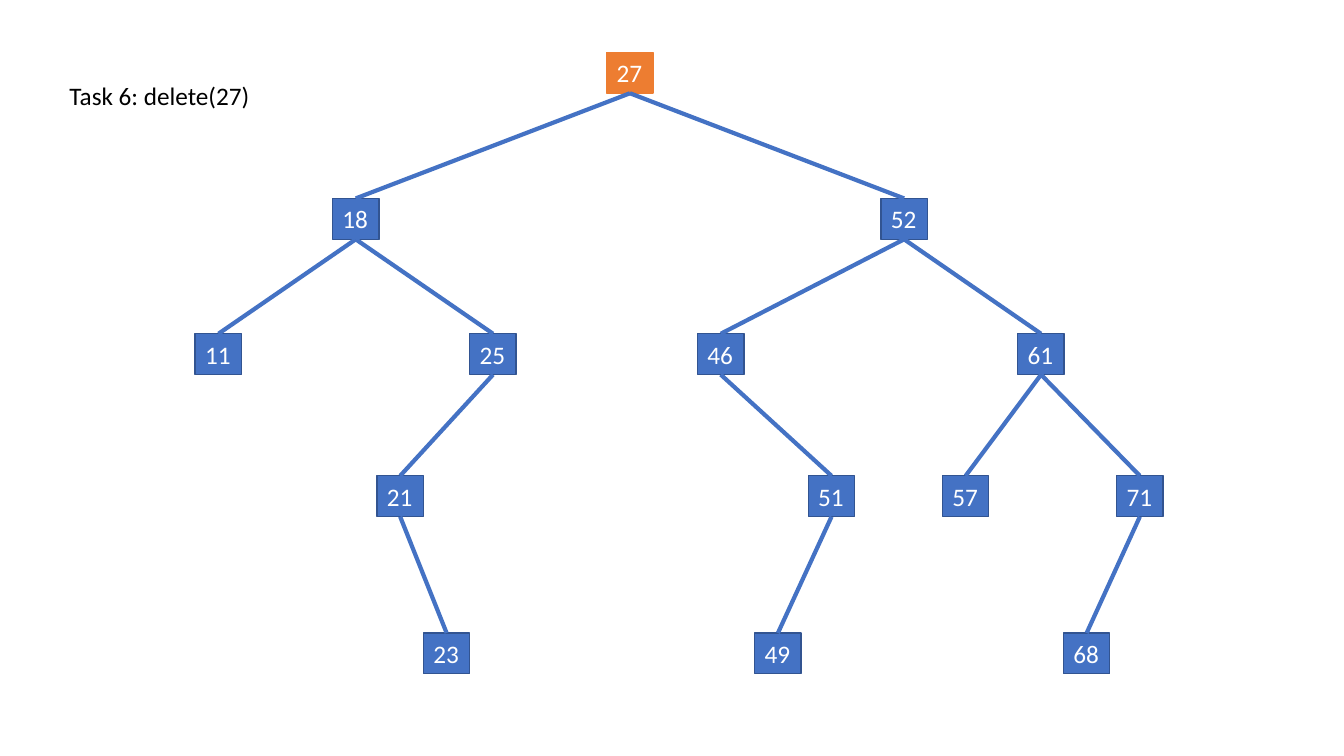
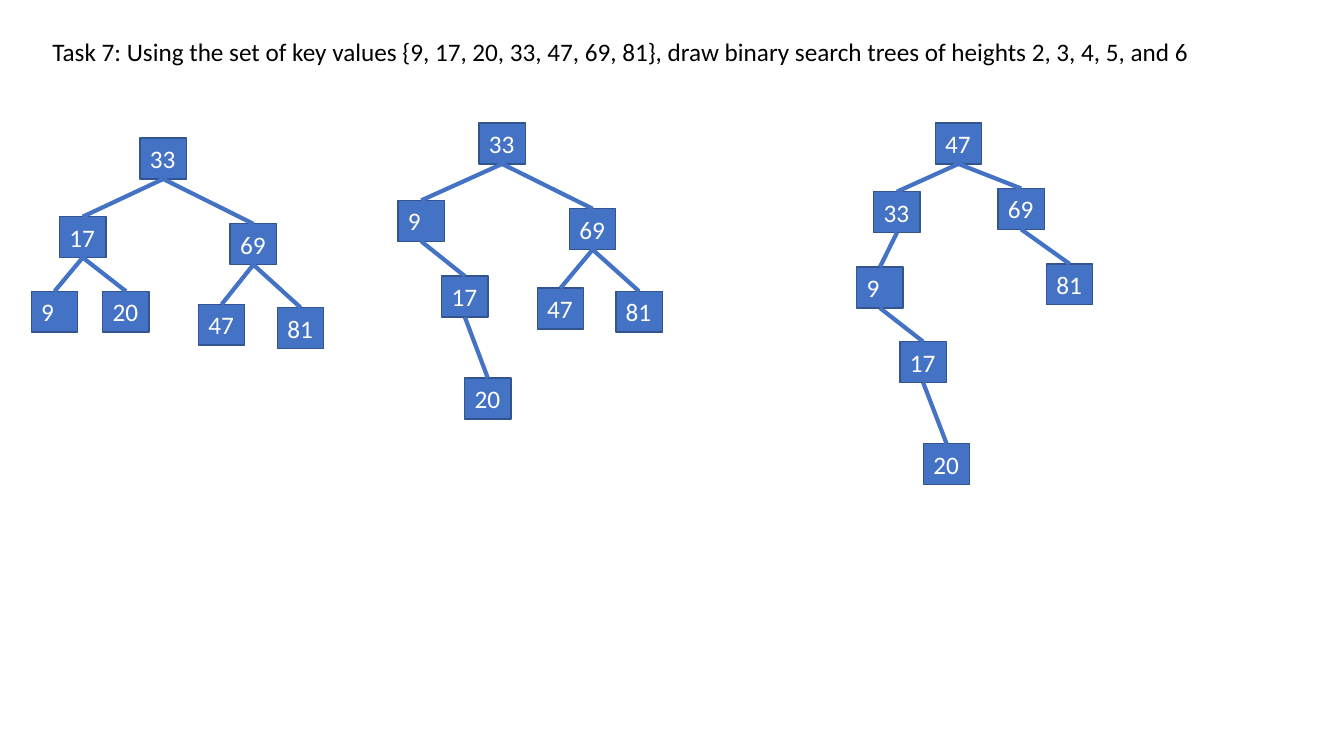
from dataclasses import dataclass

from lxml import etree
from pptx import Presentation
from pptx.dml.color import RGBColor
from pptx.enum.shapes import MSO_CONNECTOR, MSO_SHAPE
from pptx.enum.text import MSO_ANCHOR, MSO_AUTO_SIZE, PP_ALIGN
from pptx.oxml.ns import qn
from pptx.util import Cm, Pt

RECT = MSO_SHAPE.RECTANGLE
STRAIGHT = MSO_CONNECTOR.STRAIGHT
LEFT = PP_ALIGN.LEFT
MIDDLE = MSO_ANCHOR.MIDDLE
GROW = MSO_AUTO_SIZE.SHAPE_TO_FIT_TEXT
TOP_SIDE, BOTTOM_SIDE = 0, 2

# Shared look
FONT, FONT_SIZE = "Calibri", 18
BLUE, DARK_BLUE, ORANGE = "4472C4", "325491", "ED7D31"
WHITE, BLACK = "FFFFFF", "000000"
NODE_W, NODE_H = 1.17, 1.03


@dataclass
class Node:
    key: int
    left: float  # cm
    top: float  # cm
    parent: int | None = None
    fill: str = BLUE
    line: str = DARK_BLUE


@dataclass
class Task:
    text: str
    left: float
    top: float
    width: float
    wrap: bool
    trees: list[list[Node]]


# Task 6: one tree with its nodes on five levels
L0, L1, L2, L3, L4 = 1.32, 5, 8.41, 11.99, 15.95
DELETE_TREE = [
    Node(27, 15.29, L0, fill=ORANGE, line=ORANGE),
    Node(18, 8.38, L1, 27),
    Node(52, 22.2, L1, 27),
    Node(11, 4.92, L2, 18),
    Node(25, 11.84, L2, 18),
    Node(46, 17.58, L2, 52),
    Node(61, 25.65, L2, 52),
    Node(21, 9.5, L3, 25),
    Node(51, 20.37, L3, 46),
    Node(57, 23.75, L3, 61),
    Node(71, 28.14, L3, 61),
    Node(23, 10.67, L4, 21),
    Node(49, 19.02, L4, 51),
    Node(68, 26.8, L4, 71),
]

# Task 7: trees of heights 2, 3 and 4
HEIGHT_2 = [
    Node(33, 3.53, 3.48),
    Node(17, 1.5, 5.46, 33),
    Node(69, 5.8, 5.64, 33),
    Node(9, 0.79, 7.34, 17),
    Node(20, 2.59, 7.34, 17),
    Node(47, 5, 7.67, 69),
    Node(81, 6.99, 7.75, 69),
]
HEIGHT_3 = [
    Node(33, 12.07, 3.1),
    Node(9, 10.03, 5.05, 33),
    Node(69, 14.35, 5.26, 33),
    Node(17, 11.13, 6.96, 9),
    Node(47, 13.54, 7.26, 69),
    Node(81, 15.52, 7.34, 69),
    Node(20, 11.71, 9.53, 17),
]
HEIGHT_4 = [
    Node(47, 23.57, 3.1),
    Node(33, 22.02, 4.83, 47),
    Node(69, 25.15, 4.75, 47),
    Node(9, 21.59, 6.73, 33),
    Node(81, 26.37, 6.65, 69),
    Node(17, 22.68, 8.61, 9),
    Node(20, 23.27, 11.18, 17),
]

TASKS = [
    Task("Task 6: delete(27)", 1.5, 1.88, 5.11, False, [DELETE_TREE]),
    Task("Task 7: Using the set of key values {9, 17, 20, 33, 47, 69, 81}, "
         "draw binary search trees of heights 2, 3, 4, 5, and 6",
         1.07, 0.79, 31.9, True, [HEIGHT_2, HEIGHT_3, HEIGHT_4]),
]


def rgb(value: str) -> RGBColor:
    return RGBColor.from_string(value)


def write_text(sp, text: str, *, color: str = BLACK, size: float = FONT_SIZE,
               wrap: bool = True) -> None:
    tf = sp.text_frame
    tf.word_wrap = wrap
    tf.auto_size = GROW
    tf.vertical_anchor = MIDDLE
    p = tf.paragraphs[0]
    p.alignment = LEFT
    r = p.add_run()
    r.text = text
    r.font.name = FONT
    r.font.size = Pt(size)
    r.font.color.rgb = rgb(color)


def add_node(s, node: Node):
    sp = s.shapes.add_shape(RECT, Cm(node.left), Cm(node.top),
                            Cm(NODE_W), Cm(NODE_H))
    sp.shadow.inherit = False
    sp.fill.solid()
    sp.fill.fore_color.rgb = rgb(node.fill)
    sp.line.color.rgb = rgb(node.line)
    sp.line.width = Pt(1)
    write_text(sp, str(node.key), color=WHITE)
    return sp


def add_edge(s, parent, child) -> None:
    edge = s.shapes.add_connector(STRAIGHT, 0, 0, 0, 0)
    edge.begin_connect(parent, BOTTOM_SIDE)
    edge.end_connect(child, TOP_SIDE)
    edge.line.color.rgb = rgb(BLUE)
    edge.line.width = Pt(3)
    etree.SubElement(edge._element.spPr, qn("a:effectLst"))


def add_tree(s, nodes: list[Node]) -> None:
    boxes = {node.key: add_node(s, node) for node in nodes}
    for node in nodes:
        if node.parent is not None:
            add_edge(s, boxes[node.parent], boxes[node.key])


def add_task(prs, task: Task) -> None:
    s = prs.slides.add_slide(prs.slide_layouts[6])
    label = s.shapes.add_textbox(Cm(task.left), Cm(task.top),
                                 Cm(task.width), Cm(NODE_H))
    write_text(label, task.text, wrap=task.wrap)
    for tree in task.trees:
        add_tree(s, tree)


def main() -> None:
    prs = Presentation()
    prs.slide_width, prs.slide_height = Cm(33.87), Cm(19.05)
    for task in TASKS:
        add_task(prs, task)
    prs.save("out.pptx")


if __name__ == "__main__":
    main()
